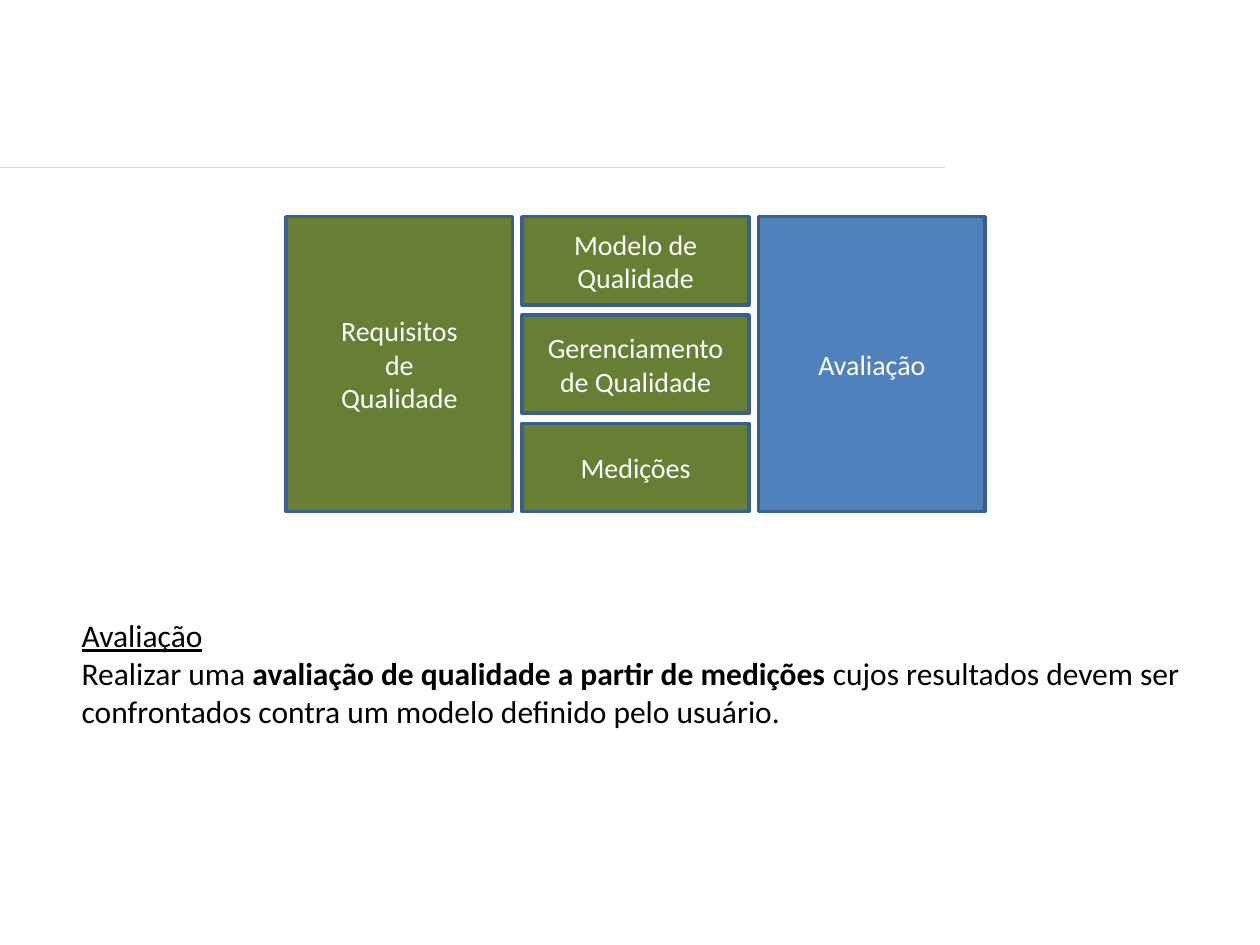
import pptx
import pptx.dml.color
import pptx.enum.shapes
import pptx.enum.text
import pptx.oxml.ns
import pptx.util
from lxml import etree

Inches = pptx.util.Inches
Pt = pptx.util.Pt

GREEN, BLUE, BORDER = "677F34", "4F81BD", "3A5F8C"
WHITE, BLACK, RULE = "FFFFFF", "000000", "C4D6EB"


def rgb(color):
    return pptx.dml.color.RGBColor.from_string(color)


class SlideBuilder:
    font = "Calibri"

    def __init__(self, slide):
        self.slide = slide

    def style(self, p, size, color):
        p.font.name = self.font
        p.font.size = Pt(size)
        p.font.color.rgb = rgb(color)

    def rule(self, x1, x2, y):
        line = self.slide.shapes.add_connector(
            pptx.enum.shapes.MSO_CONNECTOR.STRAIGHT,
            Inches(x1), Inches(y), Inches(x2), Inches(y))
        line.line.color.rgb = rgb(RULE)
        line.line.width = Pt(0.75)
        etree.SubElement(line._element.spPr, pptx.oxml.ns.qn("a:effectLst"))

    def box(self, x, y, w, h, fill, *lines):
        sp = self.slide.shapes.add_shape(
            pptx.enum.shapes.MSO_SHAPE.RECTANGLE,
            Inches(x), Inches(y), Inches(w), Inches(h))
        sp.shadow.inherit = False
        sp.fill.solid()
        sp.fill.fore_color.rgb = rgb(fill)
        sp.line.color.rgb = rgb(BORDER)
        sp.line.width = Pt(2)
        tf = sp.text_frame
        tf.word_wrap = True
        tf.vertical_anchor = pptx.enum.text.MSO_ANCHOR.MIDDLE
        tf.text = "\n".join(lines)
        for p in tf.paragraphs:
            p.alignment = pptx.enum.text.PP_ALIGN.CENTER
            self.style(p, 16, WHITE)

    def definition(self, x, y, w, h, term, runs):
        """Underlined term, then a paragraph of (text, bold) runs."""
        tf = self.slide.shapes.add_textbox(
            Inches(x), Inches(y), Inches(w), Inches(h)).text_frame
        tf.word_wrap = True
        tf.auto_size = pptx.enum.text.MSO_AUTO_SIZE.SHAPE_TO_FIT_TEXT
        heading = tf.paragraphs[0]
        r = heading.add_run()
        r.text = term
        r.font.underline = True
        body = tf.add_paragraph()
        for text, bold in runs:
            r = body.add_run()
            r.text = text
            r.font.bold = bold
        for p in tf.paragraphs:
            self.style(p, 18, BLACK)


def main():
    prs = pptx.Presentation()
    prs.slide_width, prs.slide_height = Inches(10), Inches(7.5)
    s = SlideBuilder(prs.slides.add_slide(prs.slide_layouts[6]))
    s.rule(0, 7.5, 1.33)

    left, top, width, height, gap = 2.27, 1.72, 1.8, 2.34, 0.08
    requirements_x, middle_x, evaluation_x = (
        left + i * (width + 0.075) for i in range(3))
    s.box(requirements_x, top, width, height, GREEN,
          "Requisitos", "de", "Qualidade")
    s.box(evaluation_x, top, width, height, BLUE, "Avaliação")

    y = top
    for label, h in (("Modelo de Qualidade", 0.7),
                     ("Gerenciamento de Qualidade", 0.78),
                     ("Medições", 0.7)):
        s.box(middle_x, y, width, h, GREEN, label)
        y += h + gap

    s.definition(0.55, 4.84, 9.22, 1, "Avaliação", [
        ("Realizar uma ", False),
        ("avaliação de qualidade a partir de medições", True),
        (" cujos resultados devem ser confrontados contra um modelo "
         "definido pelo usuário.", False)])
    prs.save("out.pptx")


if __name__ == "__main__":
    main()
